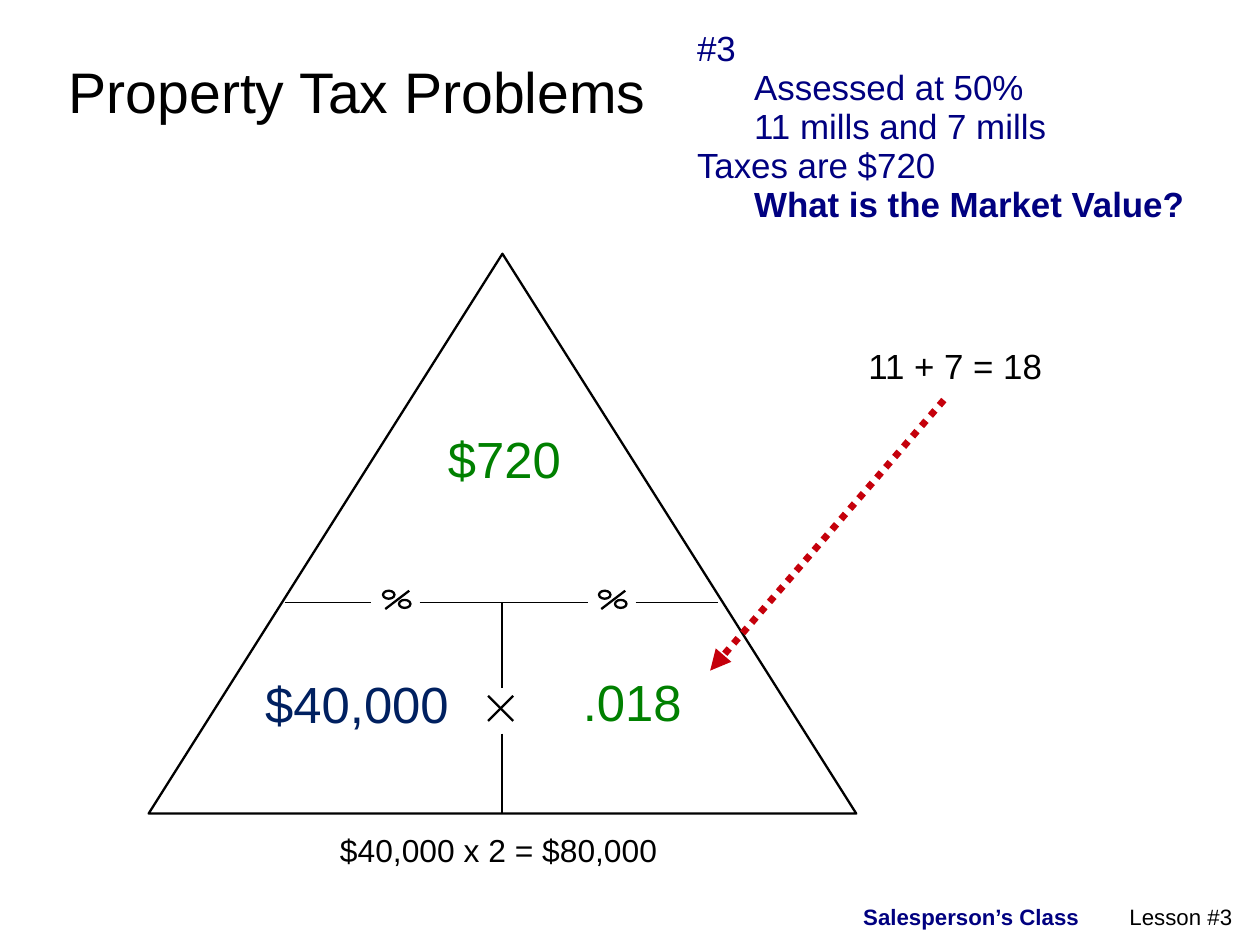
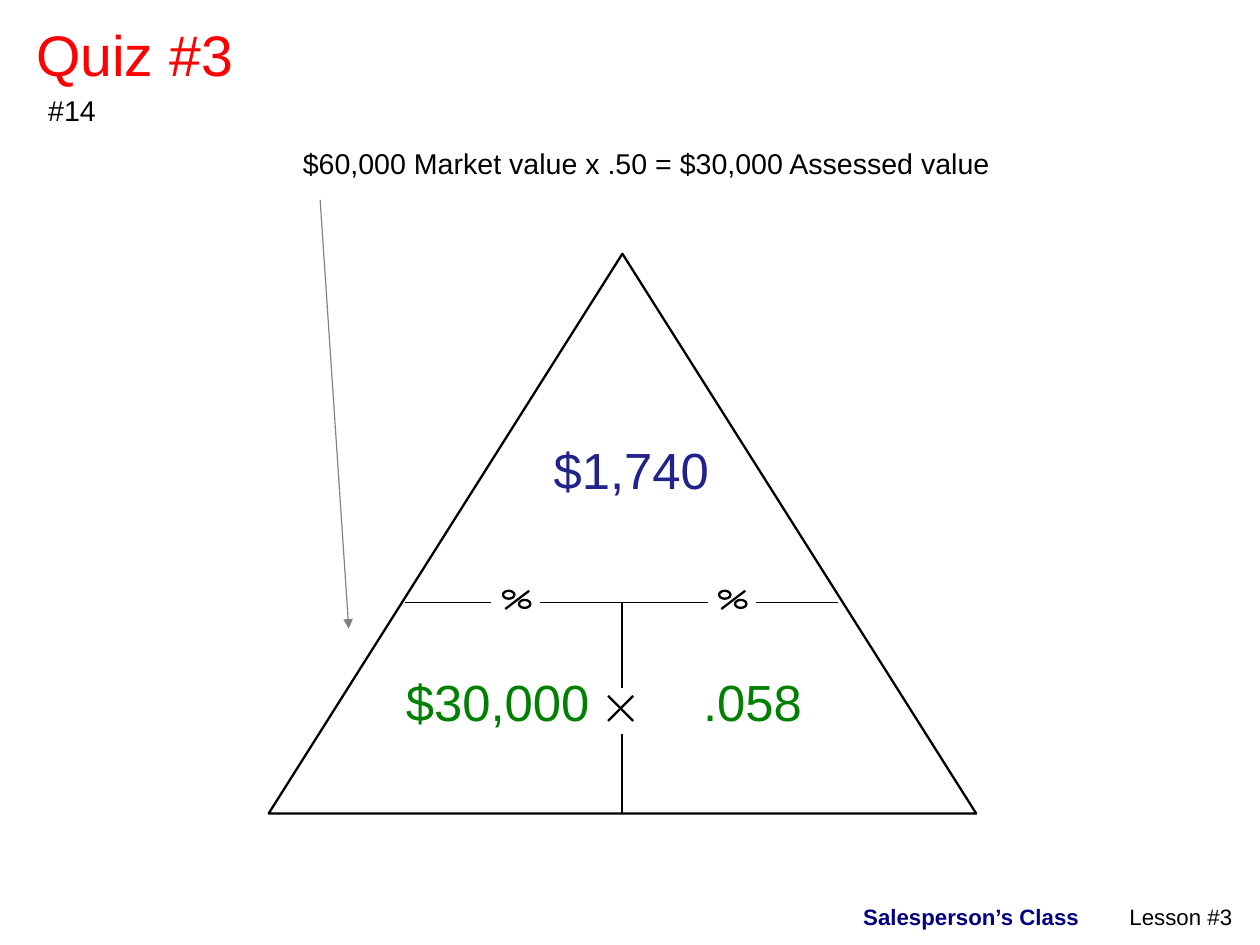
import pptx
import pptx.dml.color
import pptx.enum.dml
import pptx.enum.shapes
import pptx.enum.text
import pptx.oxml.ns
import pptx.util
from lxml import etree

WIDTH, HEIGHT = pptx.util.Cm(28), pptx.util.Cm(21)
COLUMNS, ROWS = 44, 33
FONT = "Arial"
LINE_SPACING = 0.93
INDENT = pptx.util.Inches(0.5)
FOOTER_TAB = pptx.util.Inches(2.33)
SIZES = {"title": 36, "value": 32, "problem": 22, "note": 20, "small": 18, "footer": 14}
COLORS = {
    "black": "000000", "navy": "000080", "green": "008000", "blue": "002060",
    "indigo": "22228B", "red": "FF0000", "crimson": "C5000B", "gray": "808080",
}
LEFT = pptx.enum.text.PP_ALIGN.LEFT
CENTER = pptx.enum.text.PP_ALIGN.CENTER
OUTLINE, THIN = 1.45, 0.75


def place(column, row):
    """Turn a grid position into a point on the slide."""
    return round(column * WIDTH / COLUMNS), round(row * HEIGHT / ROWS)


def rgb(name):
    """Look up a named colour."""
    return pptx.dml.color.RGBColor.from_string(COLORS[name])


def add_element(parent, tag, **attributes):
    """Append one drawing element to a parent."""
    element = etree.SubElement(parent, pptx.oxml.ns.qn(tag))
    for name, value in attributes.items():
        element.set(name, value)
    return element


def set_frame(shape, box):
    """Move a text shape to a grid box and give it the shared frame format."""
    shape.left, shape.top = place(*box[:2])
    shape.width, shape.height = place(*box[2:])
    frame_format = {
        "word_wrap": True,
        "auto_size": pptx.enum.text.MSO_AUTO_SIZE.NONE,
        "vertical_anchor": pptx.enum.text.MSO_ANCHOR.TOP,
        "margin_left": pptx.util.Inches(0.1),
        "margin_right": pptx.util.Inches(0.1),
        "margin_top": pptx.util.Inches(0.05),
        "margin_bottom": pptx.util.Inches(0.05),
    }
    for name, value in frame_format.items():
        setattr(shape.text_frame, name, value)


def set_paragraph(paragraph, align=LEFT):
    """Give a paragraph the shared spacing."""
    paragraph_format = {
        "alignment": align,
        "line_spacing": LINE_SPACING,
        "space_before": pptx.util.Pt(0),
    }
    for name, value in paragraph_format.items():
        setattr(paragraph, name, value)


def add_run(paragraph, text, size, color, bold=False):
    """Add a formatted run to a paragraph."""
    run = paragraph.add_run()
    run.text = text
    font_format = {"name": FONT, "size": pptx.util.Pt(SIZES[size]), "bold": bold}
    for name, value in font_format.items():
        setattr(run.font, name, value)
    run.font.color.rgb = rgb(color)


def write_line(shape, box, text, size, color, align=LEFT):
    """Place a shape and fill it with one line of text."""
    set_frame(shape, box)
    paragraph = shape.text_frame.paragraphs[0]
    set_paragraph(paragraph, align)
    add_run(paragraph, text, size, color)


def add_label(slide, box, text, size, color="black", align=LEFT):
    """Add a text box with one line of text."""
    write_line(slide.shapes.add_textbox(0, 0, 0, 0), box, text, size, color, align)


def add_line(shapes, start, end, width, color="black"):
    """Add a straight line without a shadow."""
    connector = shapes.add_connector(
        pptx.enum.shapes.MSO_CONNECTOR.STRAIGHT, *start, *end)
    connector.line.width = pptx.util.Pt(width)
    connector.line.color.rgb = rgb(color)
    add_element(connector._element.spPr, "a:effectLst")
    return connector


def add_arrow(slide, start, end, width, color, dash=None):
    """Add a line with a triangle at its end."""
    connector = add_line(slide.shapes, place(*start), place(*end), width, color)
    if dash is not None:
        connector.line.dash_style = dash
    add_element(connector.line._get_or_add_ln(), "a:tailEnd", type="triangle")


def add_outline(shapes, kind, start, end):
    """Add an unfilled preset shape between two corners."""
    shape = shapes.add_shape(kind, *start, end[0] - start[0], end[1] - start[1])
    shape.shadow.inherit = False
    shape.fill.background()
    shape.line.width = pptx.util.Pt(OUTLINE)
    shape.line.color.rgb = rgb("black")


def add_triangle(slide, box):
    """Draw the formula triangle, with parts in percent of its box."""
    shapes = slide.shapes.add_group_shape().shapes
    kinds = pptx.enum.shapes.MSO_SHAPE
    left, top, width, height = box
    divider, middle = 62.24, 49.95

    def point(across, down):
        """Turn percentages of the box into a point on the slide."""
        return place(left + width * across / 100, top + height * down / 100)

    add_outline(shapes, kinds.ISOSCELES_TRIANGLE, point(0, 0), point(100, 100))
    for start, end in ((19.22, 31.5), (38.29, middle), (middle, 62.04), (68.82, 80.45)):
        add_line(shapes, point(start, divider), point(end, divider), THIN)
    for start, end in ((divider, 77.6), (85.71, 100)):
        add_line(shapes, point(middle, start), point(middle, end), OUTLINE)
    for start, end in ((83.47, 78.98), (78.98, 83.47)):
        add_line(shapes, point(47.98, start), point(51.53, end), OUTLINE)
    for sign in (33.12, 63.65):
        add_line(shapes, point(sign + 0.32, 63.47), point(sign + 3.71, 60.2), OUTLINE)
        for across, down in ((sign, 60.2), (sign + 2.26, 61.84)):
            add_outline(shapes, kinds.OVAL, point(across, down),
                        point(across + 1.62, down + 1.43))


def add_problem(shape, box, lines):
    """Write the problem into a body placeholder, one (indent, bold, text) a line."""
    set_frame(shape, box)
    frame = shape.text_frame
    for index, (indented, bold, text) in enumerate(lines):
        paragraph = frame.add_paragraph() if index else frame.paragraphs[0]
        properties = paragraph._p.get_or_add_pPr()
        properties.set("marL", str(INDENT if indented else 0))
        properties.set("indent", "0")
        add_element(properties, "a:buNone")
        set_paragraph(paragraph)
        add_run(paragraph, text, "problem", "navy", bold)


def add_footer(slide, box):
    """Write the course name and the lesson, parted by a tab stop."""
    shape = slide.shapes.add_textbox(0, 0, 0, 0)
    set_frame(shape, box)
    shape.text_frame.margin_top = pptx.util.Inches(0.09)
    paragraph = shape.text_frame.paragraphs[0]
    tabs = add_element(paragraph._p.get_or_add_pPr(), "a:tabLst")
    add_element(tabs, "a:tab", pos=str(FOOTER_TAB), algn="l")
    set_paragraph(paragraph)
    add_run(paragraph, "Salesperson’s Class\t", "footer", "navy", True)
    add_run(paragraph, "Lesson #3", "footer", "black")


def start_slide(presentation, layout, title, box, color, triangle):
    """Add a slide with its title, footer and formula triangle."""
    slide = presentation.slides.add_slide(presentation.slide_layouts[layout])
    write_line(slide.shapes.title, box, title, "title", color)
    add_footer(slide, (29.75, 31.28, 13.9, 1.56))
    add_triangle(slide, triangle)
    return slide


def build_problem_slide(presentation):
    """Build the property tax problem."""
    slide = start_slide(presentation, 1, "Property Tax Problems",
                        (2, 1.97, 21.5, 2.63), "black", (5.19, 8.86, 24.71, 19.55))
    add_problem(slide.placeholders[1], (23.94, 0.86, 18.5, 6.94), (
        (False, False, "#3"),
        (True, False, "Assessed at 50%"),
        (True, False, "11 mills and 7 mills"),
        (False, False, "Taxes are $720"),
        (True, True, "What is the Market Value?"),
    ))
    add_label(slide, (15.25, 14.92, 6, 2.4), "$720", "value", "green")
    add_label(slide, (7.97, 23.5, 9, 3.5), "$40,000", "value", "blue", CENTER)
    add_label(slide, (19.96, 23.42, 6, 3.5), ".018", "value", "green")
    add_label(slide, (29.93, 11.97, 7.5, 1.76), "11 + 7 = 18", "problem")
    add_label(slide, (11.48, 28.95, 13, 2.3), "$40,000 x 2 = $80,000", "note")
    add_arrow(slide, (32.96, 13.97), (24.8, 23.42), 4.31, "crimson",
              pptx.enum.dml.MSO_LINE.ROUND_DOT)


def build_quiz_slide(presentation):
    """Build the quiz answer."""
    slide = start_slide(presentation, 5, "Quiz #3",
                        (0.86, 0.68, 8.5, 2.63), "red", (9.38, 8.86, 24.71, 19.55))
    add_label(slide, (1.29, 3.15, 3, 1.52), "#14", "small")
    add_label(slide, (10.18, 4.99, 25.5, 1.52),
              "$60,000 Market value x .50 = $30,000 Assessed value", "small")
    for column, row, text, color in (
        (17.55, 15.32, "$1,740", "indigo"),
        (12.88, 23.42, "$30,000", "green"),
        (21.78, 23.42, ".058", "green"),
    ):
        add_label(slide, (column, row, 9, 3.5), text, "value", color, CENTER)
    add_arrow(slide, (11.18, 6.98), (12.18, 21.95), THIN, "gray")


def main():
    """Build and save the presentation."""
    presentation = pptx.Presentation()
    presentation.slide_width = WIDTH
    presentation.slide_height = HEIGHT
    build_problem_slide(presentation)
    build_quiz_slide(presentation)
    presentation.save("out.pptx")


if __name__ == "__main__":
    main()
